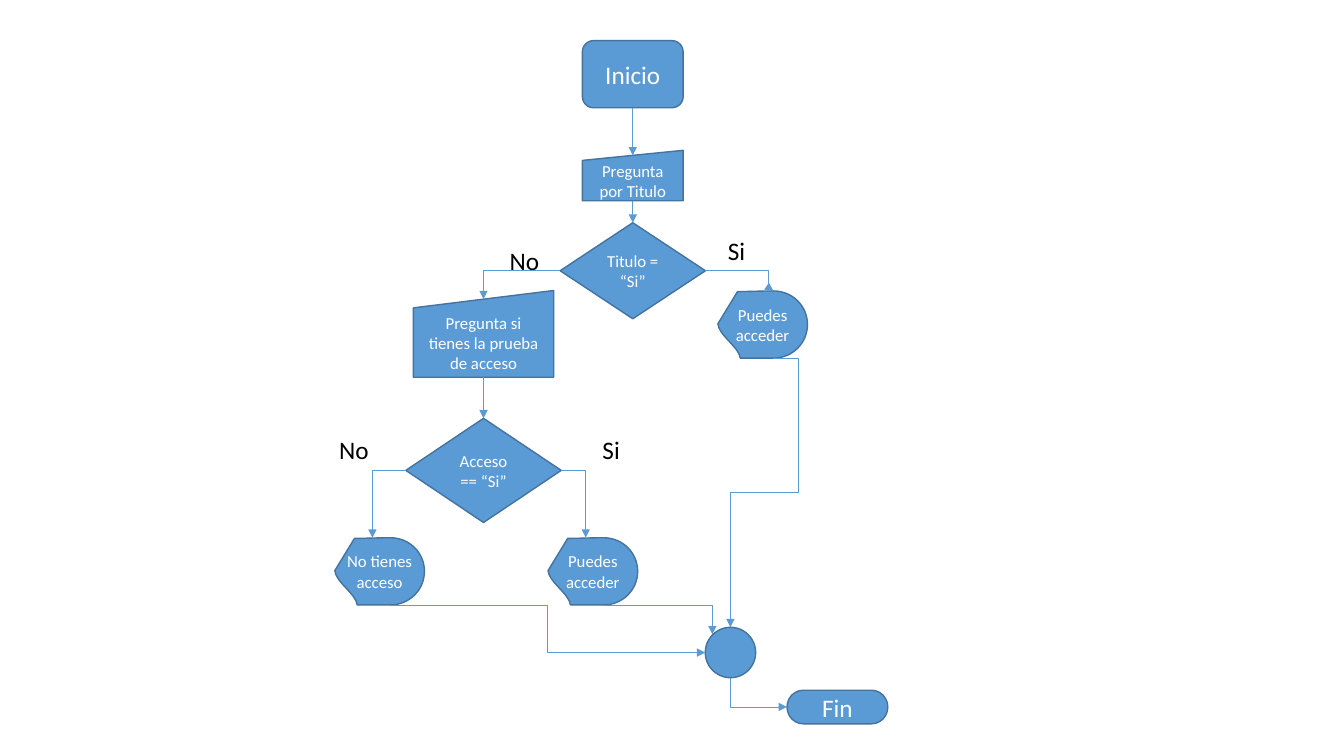
from lxml import etree
from pptx import Presentation
from pptx.dml.color import RGBColor
from pptx.enum.shapes import MSO_CONNECTOR, MSO_SHAPE
from pptx.enum.text import MSO_ANCHOR, PP_ALIGN
from pptx.oxml.ns import qn
from pptx.util import Pt

THEME = {
    "font": "Calibri", "fill": "5B9BD5", "outline": "43739E",
    "light": "FFFFFF", "dark": "000000",
    "large": 18, "small": 12, "outline_width": 1, "arrow_width": 0.5,
}
DISPLAY = "display"

NODES = {
    "inicio": (MSO_SHAPE.FLOWCHART_ALTERNATE_PROCESS, "Inicio", "large", 452, 53, 72, 48),
    "pide_titulo": (MSO_SHAPE.FLOWCHART_MANUAL_INPUT, "Pregunta por Titulo", "small", 452, 125.4, 72, 36),
    "titulo": (MSO_SHAPE.FLOWCHART_DECISION, "Titulo = “Si”", "small", 452, 193.4, 103.8, 68.6),
    "accede_titulo": (DISPLAY, "Puedes acceder", "small", 544.8, 231.8, 64, 48),
    "pide_prueba": (MSO_SHAPE.FLOWCHART_MANUAL_INPUT, "Pregunta si tienes la prueba de acceso",
                    "small", 345.4, 238.5, 100.2, 62),
    "acceso": (MSO_SHAPE.FLOWCHART_DECISION, "Acceso == “Si”", "small", 345.4, 336, 111, 74.4),
    "accede_prueba": (DISPLAY, "Puedes acceder", "small", 423.5, 408.1, 64, 48),
    "sin_acceso": (DISPLAY, "No tienes acceso", "small", 271.2, 408.1, 64, 48),
    "union": (MSO_SHAPE.FLOWCHART_CONNECTOR, "", "small", 521.8, 466.1, 36, 36),
    "fin": (MSO_SHAPE.FLOWCHART_TERMINATOR, "Fin", "large", 598.2, 505, 72, 24),
}
LABELS = [("No", 357, 171.5, 36), ("Si", 512.9, 164.6, 27.5),
          ("No", 235.2, 306.7, 36), ("Si", 423.3, 306.7, 27.5)]

TOP, BOTTOM, LEFT, RIGHT = (0.5, 0), (0.5, 1), (0, 0.5), (1, 0.5)
INPUT_TOP, CIRCLE_CORNER = (0.5, 0.1), (0.14, 0.14)
DISPLAY_TOP, DISPLAY_END, DISPLAY_BOTTOM = (0.42, 0), (0.62, 0), (0.62, 1)
STRAIGHT, CORNER, STEP, DETOUR = "line", "bentConnector2", "bentConnector3", "bentConnector4"

ARROWS = [
    ("inicio", BOTTOM, "pide_titulo", INPUT_TOP, STRAIGHT, (), "tailEnd"),
    ("pide_titulo", BOTTOM, "titulo", TOP, STRAIGHT, (), "tailEnd"),
    ("titulo", RIGHT, "accede_titulo", DISPLAY_END, STEP, (92800,), "tailEnd"),
    ("titulo", LEFT, "pide_prueba", INPUT_TOP, CORNER, (), "tailEnd"),
    ("pide_prueba", BOTTOM, "acceso", TOP, STRAIGHT, (), "tailEnd"),
    ("acceso", RIGHT, "accede_prueba", DISPLAY_TOP, CORNER, (), "tailEnd"),
    ("acceso", LEFT, "sin_acceso", DISPLAY_TOP, CORNER, (), "tailEnd"),
    ("accede_titulo", DISPLAY_BOTTOM, "union", TOP, DETOUR, (-58700, 50000), "tailEnd"),
    ("sin_acceso", DISPLAY_BOTTOM, "union", LEFT, STEP, (50000,), "tailEnd"),
    ("accede_prueba", DISPLAY_BOTTOM, "union", CIRCLE_CORNER, CORNER, (), "tailEnd"),
    ("fin", LEFT, "union", BOTTOM, CORNER, (), "headEnd"),
]

DISPLAY_POINTS = [
    (0.22, 0.01), (0.35, 0.01), (0.49, 0), (0.62, 0),
    (0.83, 0), (1, 0.22), (1, 0.5),
    (1, 0.78), (0.83, 1), (0.62, 1),
    (0.25, 1), (0.24, 0.84), (0.01, 0.66), (0, 0.49),
]
CURVE_STARTS = (0, 3, 6, 10)


def color(name):
    return RGBColor.from_string(THEME[name])


def anchor(name, fraction):
    cx, cy, width, height = NODES[name][3:]
    return Pt(cx + (fraction[0] - 0.5) * width), Pt(cy + (fraction[1] - 0.5) * height)


def write(shape, text, size, ink):
    run = shape.text_frame.paragraphs[0].add_run()
    run.text = text
    run.font.name = THEME["font"]
    run.font.size = Pt(THEME[size])
    run.font.color.rgb = color(ink)


def add_display(shapes, name):
    points = [anchor(name, p) for p in DISPLAY_POINTS]
    builder = shapes.build_freeform(*points[0])
    builder.add_line_segments(points[1:], close=True)
    shape = builder.convert_to_shape()
    segments = list(shape._element.spPr.iter(qn("a:lnTo")))
    for start in CURVE_STARTS:
        first, *others = segments[start:start + 3]
        curve = etree.Element(qn("a:cubicBezTo"))
        first.addprevious(curve)
        for segment in (first, *others):
            curve.append(segment[0])
            segment.getparent().remove(segment)
    return shape


def add_node(shapes, name):
    kind, text, size, cx, cy, width, height = NODES[name]
    if kind == DISPLAY:
        shape = add_display(shapes, name)
    else:
        shape = shapes.add_shape(kind, *anchor(name, (0, 0)), Pt(width), Pt(height))
    shape.shadow.inherit = False
    shape.fill.solid()
    shape.fill.fore_color.rgb = color("fill")
    shape.line.color.rgb = color("outline")
    shape.line.width = Pt(THEME["outline_width"])
    if text:
        frame = shape.text_frame
        frame.word_wrap = True
        frame.vertical_anchor = MSO_ANCHOR.MIDDLE
        frame.paragraphs[0].alignment = PP_ALIGN.CENTER
        write(shape, text, size, "light")


def add_arrow(shapes, start, start_at, end, end_at, route, bends, head):
    kind = MSO_CONNECTOR.STRAIGHT if route == STRAIGHT else MSO_CONNECTOR.ELBOW
    arrow = shapes.add_connector(kind, *anchor(start, start_at), *anchor(end, end_at))
    arrow.line.color.rgb = color("fill")
    arrow.line.width = Pt(THEME["arrow_width"])
    properties = arrow._element.spPr
    geometry = properties.find(qn("a:prstGeom"))
    geometry.set("prst", route)
    for i, bend in enumerate(bends, 1):
        etree.SubElement(geometry.find(qn("a:avLst")), qn("a:gd"),
                         name=f"adj{i}", fmla=f"val {bend}")
    etree.SubElement(properties.find(qn("a:ln")), qn(f"a:{head}"), type="triangle")
    etree.SubElement(properties, qn("a:effectLst"))


prs = Presentation()
prs.slide_width, prs.slide_height = Pt(960), Pt(540)
shapes = prs.slides.add_slide(prs.slide_layouts[6]).shapes

for name in NODES:
    add_node(shapes, name)
for text, left, top, width in LABELS:
    label = shapes.add_textbox(Pt(left), Pt(top), Pt(width), Pt(29))
    label.text_frame.word_wrap = False
    write(label, text, "large", "dark")
for arrow in ARROWS:
    add_arrow(shapes, *arrow)

prs.save("out.pptx")
